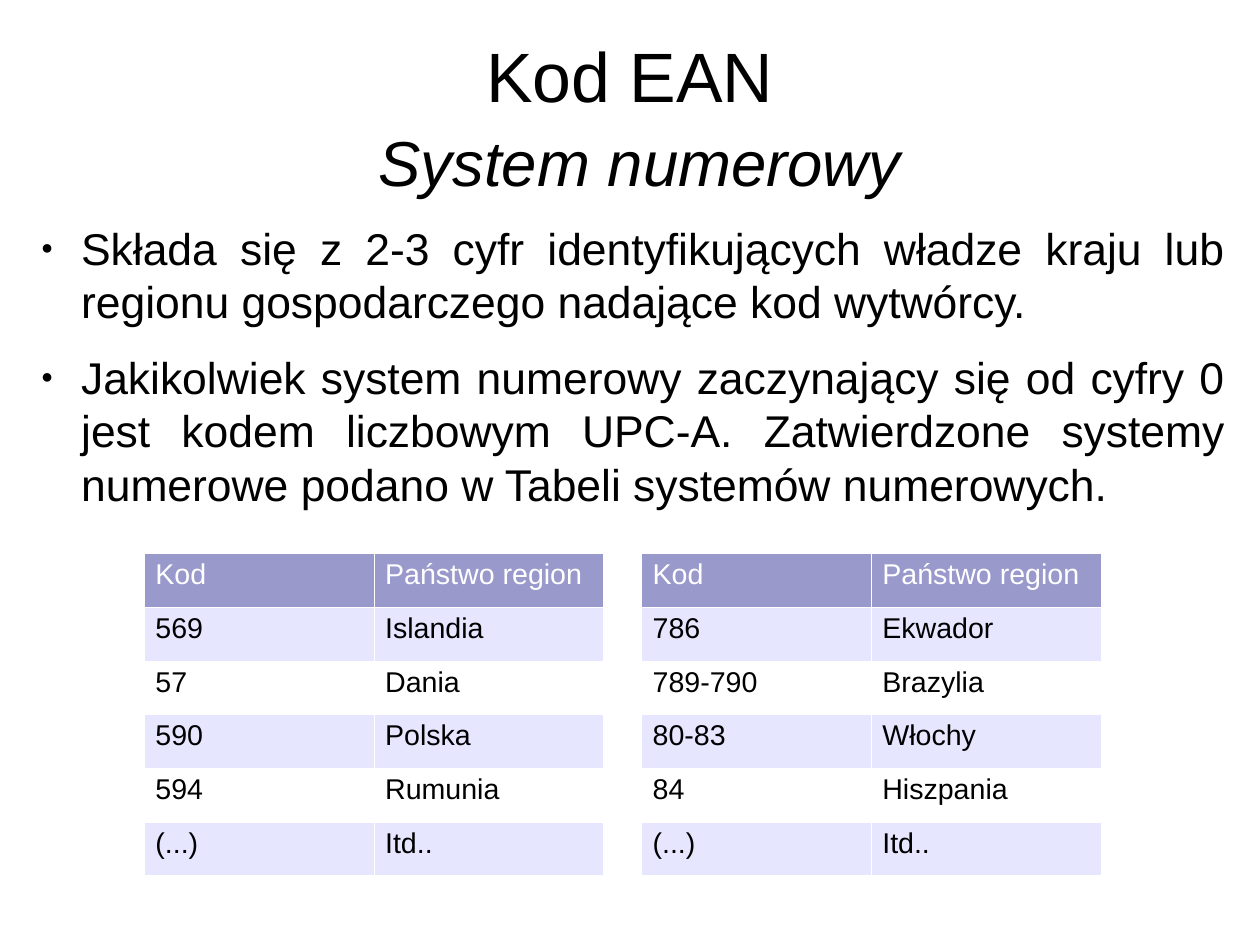
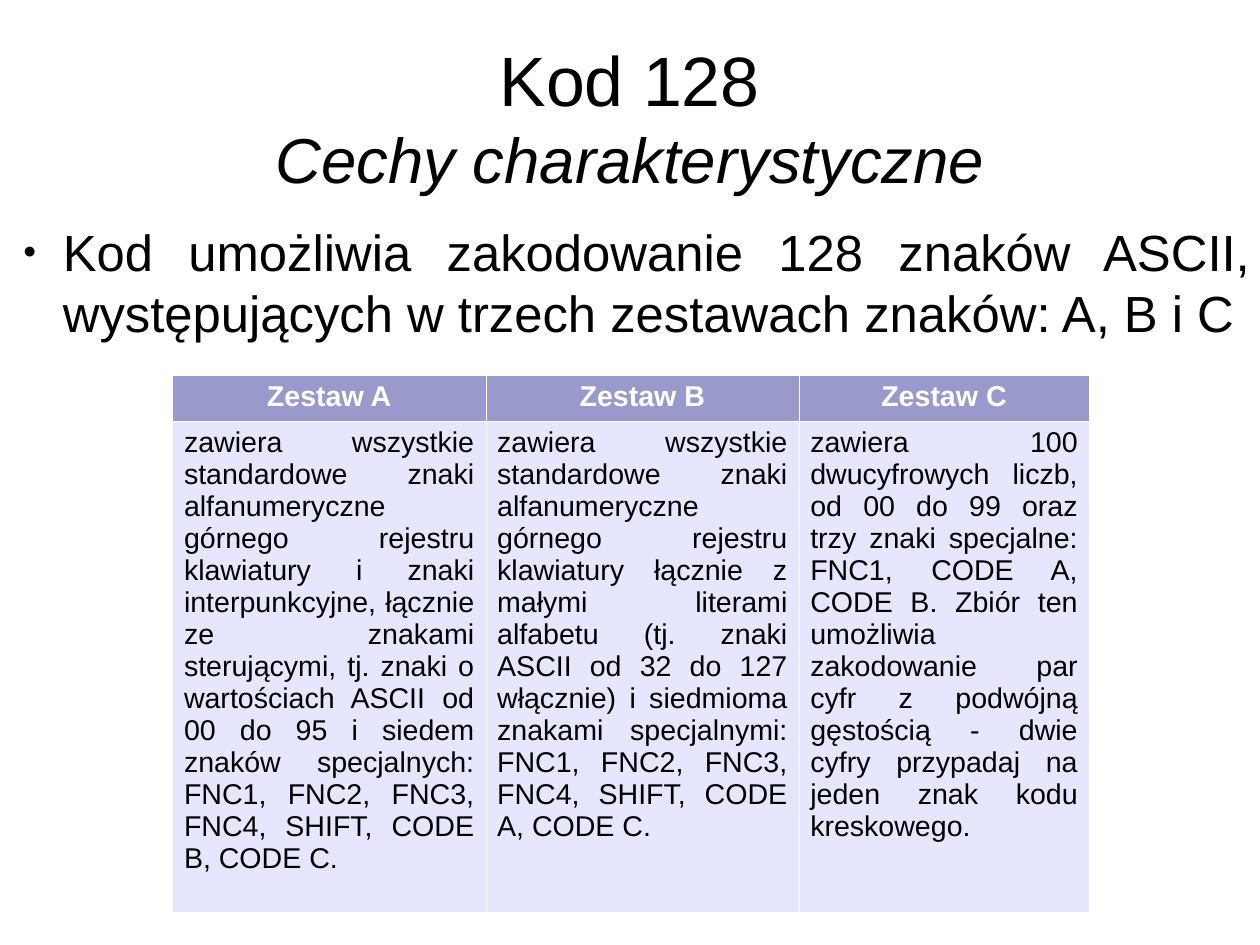
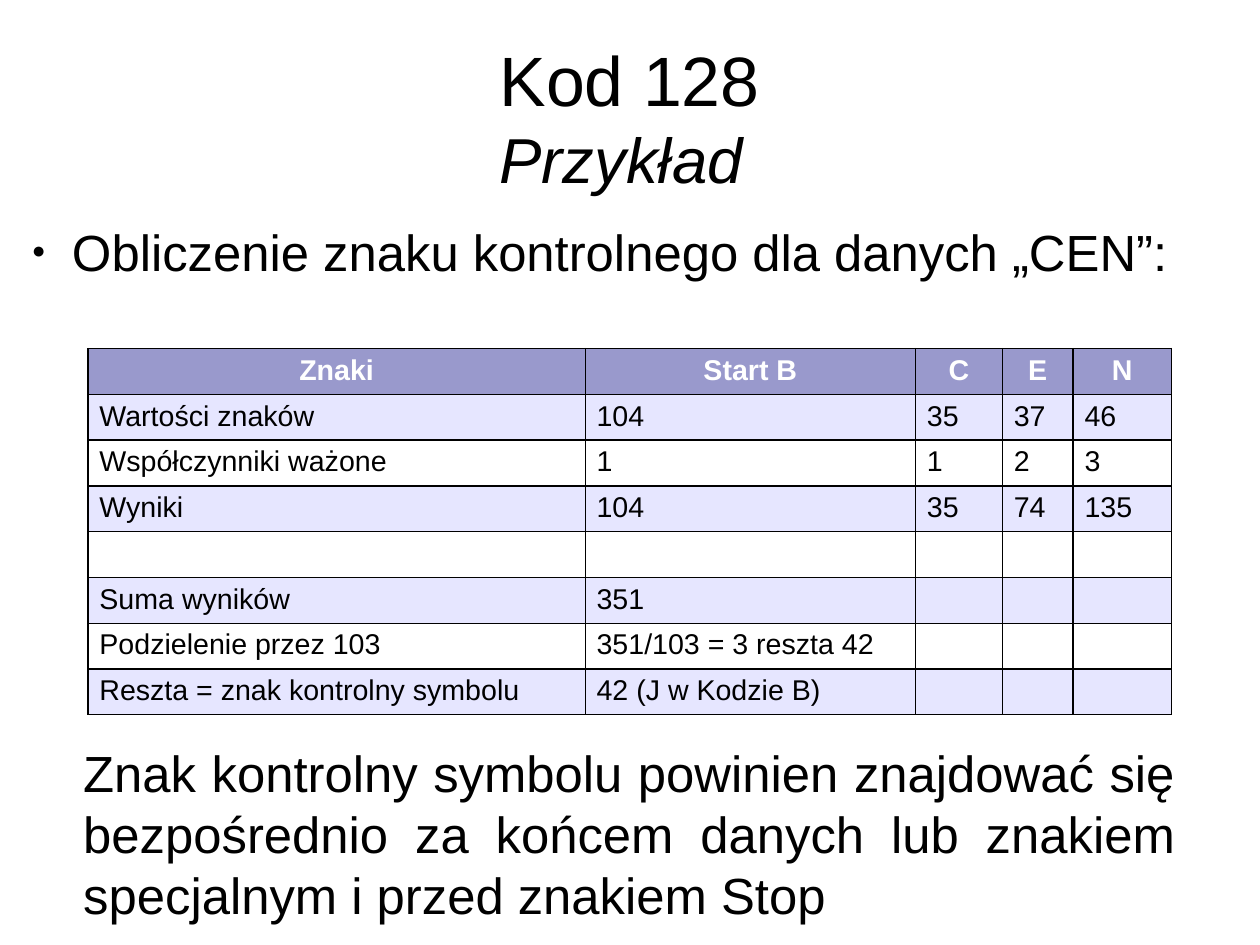
from lxml.etree import SubElement
from pptx import Presentation
from pptx.dml.color import RGBColor
from pptx.enum.text import MSO_ANCHOR, PP_ALIGN
from pptx.oxml.ns import qn
from pptx.util import Inches, Pt

FONT = "Arial"
COLORS = {
    "text": "000000",
    "header": "9999CC",
    "band": "E6E6FF",
    "plain": "FFFFFF",
}
CM_PER_INCH = 2.54
TABLE_TEXT_SIZE = 18
ROW_HEIGHT = 0.38


def color(name):
    return RGBColor.from_string(COLORS[name])


def set_default_font(deck):
    for element in (deck.element, deck.slide_master.element):
        for latin in element.iter(qn("a:latin")):
            latin.set("typeface", FONT)


def format_span(span, size, fill="text", bold=False, italic=False):
    span.font.name = FONT
    span.font.size = Pt(size)
    span.font.bold = bold
    span.font.italic = italic
    span.font.color.rgb = color(fill)


def add_text_box(page, left, top, width, height, margin=None):
    box = page.shapes.add_textbox(Inches(left), Inches(top), Inches(width), Inches(height))
    frame = box.text_frame
    frame.word_wrap = True
    if margin is not None:
        frame.margin_left = frame.margin_right = Inches(margin)
        frame.margin_top = frame.margin_bottom = Inches(margin)
    return frame


def add_title(page, heading, subtitle):
    frame = add_text_box(page, 0.55, 0.33, 9.92, 1.38, margin=0)
    frame.vertical_anchor = MSO_ANCHOR.MIDDLE
    para = frame.paragraphs[0]
    para.alignment = PP_ALIGN.CENTER
    para.text = heading
    for span in para.runs:
        format_span(span, 44)
    span = para.add_run()
    span.text = subtitle
    format_span(span, 40, italic=True)


def add_bullet(para):
    properties = para._p.get_or_add_pPr()
    properties.set("marL", str(Inches(0.47)))
    properties.set("indent", str(Inches(-0.35)))
    bullet_color = SubElement(properties, qn("a:buClr"))
    SubElement(bullet_color, qn("a:srgbClr"), val=COLORS["text"])
    SubElement(properties, qn("a:buSzPct"), val="45000")
    SubElement(properties, qn("a:buFont"), typeface=FONT)
    SubElement(properties, qn("a:buChar"), char="●")


def add_paragraphs(frame, texts, size, bulleted=True):
    frame.text = "\n".join(texts)
    for index, para in enumerate(frame.paragraphs):
        para.alignment = PP_ALIGN.JUSTIFY
        if index:
            para.space_before = Pt(14.2)
        if bulleted:
            add_bullet(para)
        for span in para.runs:
            format_span(span, size)


def add_borders(cell):
    properties = cell._tc.get_or_add_tcPr()
    for side in ("a:lnL", "a:lnR", "a:lnT", "a:lnB"):
        line = SubElement(properties, qn(side), w=str(Pt(0.06)))
        fill = SubElement(line, qn("a:solidFill"))
        SubElement(fill, qn("a:srgbClr"), val=COLORS["plain"])


def format_cell(cell, text, fill, text_fill, alignment, bold):
    cell.fill.solid()
    cell.fill.fore_color.rgb = color(fill)
    cell.text = text
    para = cell.text_frame.paragraphs[0]
    para.alignment = alignment
    for span in para.runs:
        format_span(span, TABLE_TEXT_SIZE, text_fill, bold)
    ending = SubElement(para._p, qn("a:endParaRPr"), sz=str(TABLE_TEXT_SIZE * 100))
    SubElement(ending, qn("a:latin"), typeface=FONT)


def remove_table_style(graphic):
    for style in list(graphic.element.iter(qn("a:tableStyleId"))):
        style.getparent().remove(style)


def add_table(page, left, top, widths, heights, rows, bordered=True,
              header_alignment=PP_ALIGN.CENTER, header_bold=True,
              body_alignment=PP_ALIGN.LEFT):
    graphic = page.shapes.add_table(
        len(rows), len(widths), Inches(left), Inches(top),
        Inches(sum(widths)), Inches(sum(heights)))
    remove_table_style(graphic)
    table = graphic.table
    for column, width in zip(table.columns, widths):
        column.width = Inches(width)
    for row, height in zip(table.rows, heights):
        row.height = Inches(height)
    for row_index, texts in enumerate(rows):
        if row_index == 0:
            look = ("header", "plain", header_alignment, header_bold)
        else:
            band = "band" if row_index % 2 else "plain"
            look = (band, "text", body_alignment, False)
        for column_index in range(len(widths)):
            cell = table.cell(row_index, column_index)
            if bordered:
                add_borders(cell)
            text = texts[column_index] if column_index < len(texts) else ""
            format_cell(cell, text, *look)


def add_page(deck, heading, subtitle):
    page = deck.slides.add_slide(deck.slide_layouts[6])
    add_title(page, heading, subtitle)
    return page


def build_number_systems(deck):
    page = add_page(deck, "Kod EAN\v ", "System numerowy")
    body = add_text_box(page, 0.24, 1.93, 10.47, 4.79, margin=0)
    add_paragraphs(body, [
        "Składa się z 2-3 cyfr identyfikujących władze kraju lub regionu "
        "gospodarczego nadające kod wytwórcy.",
        "Jakikolwiek system numerowy zaczynający się od cyfry 0 jest kodem "
        "liczbowym UPC-A. Zatwierdzone systemy numerowe podano w Tabeli "
        "systemów numerowych.",
    ], 28)
    countries_by_left = {
        1.26: [("569", "Islandia"), ("57", "Dania"), ("590", "Polska"),
               ("594", "Rumunia")],
        5.61: [("786", "Ekwador"), ("789-790", "Brazylia"),
               ("80-83", "Włochy"), ("84", "Hiszpania")],
    }
    for left, countries in countries_by_left.items():
        rows = [("Kod", "Państwo region"), *countries, ("(...)", "Itd..")]
        add_table(page, left, 4.84, [2.01] * 2, [0.47] * len(rows), rows,
                  header_alignment=PP_ALIGN.LEFT, header_bold=False)


def build_character_sets(deck):
    page = add_page(deck, "Kod 128\v", "Cechy charakterystyczne")
    body = add_text_box(page, 0.08, 1.93, 10.87, 6.02, margin=0)
    add_paragraphs(body, [
        "Kod umożliwia zakodowanie 128 znaków ASCII, występujących w trzech "
        "zestawach znaków: A, B i C",
    ], 32)
    rows = [
        ("Zestaw A", "Zestaw B", "Zestaw C"),
        (
            "zawiera wszystkie standardowe znaki alfanumeryczne górnego "
            "rejestru klawiatury i znaki interpunkcyjne, łącznie ze znakami "
            "sterującymi, tj. znaki o wartościach ASCII od 00 do 95 i siedem "
            "znaków specjalnych: FNC1, FNC2, FNC3, FNC4, SHIFT, CODE B, CODE C.",
            "zawiera wszystkie standardowe znaki alfanumeryczne górnego "
            "rejestru klawiatury łącznie z małymi literami alfabetu (tj. znaki "
            "ASCII od 32 do 127 włącznie) i siedmioma znakami specjalnymi: "
            "FNC1, FNC2, FNC3, FNC4, SHIFT, CODE A, CODE C.",
            "zawiera 100 dwucyfrowych liczb, od 00 do 99 oraz trzy znaki "
            "specjalne: FNC1, CODE A, CODE B. Zbiór ten umożliwia zakodowanie "
            "par cyfr z podwójną gęstością - dwie cyfry przypadaj na jeden "
            "znak kodu kreskowego.",
        ),
    ]
    add_table(page, 1.51, 3.28, [2.74, 2.74, 2.54], [ROW_HEIGHT, 4.3], rows,
              body_alignment=PP_ALIGN.JUSTIFY)


def build_check_character(deck):
    page = add_page(deck, "Kod 128\v", "Przykład ")
    body = add_text_box(page, 0.16, 1.93, 10.71, 6.02, margin=0)
    add_paragraphs(body, ["Obliczenie znaku kontrolnego dla danych „CEN”:"], 32)
    rows = [
        ("Znaki", "Start B", "C", "E", "N"),
        ("Wartości znaków", "104", "35", "37", "46"),
        ("Współczynniki ważone", "1", "1", "2", "3"),
        ("Wyniki", "104", "35", "74", "135"),
        (),
        ("Suma wyników", "351"),
        ("Podzielenie przez 103", "351/103 = 3 reszta 42"),
        ("Reszta = znak kontrolny symbolu", "42 (J w Kodzie B)"),
    ]
    add_table(page, 0.77, 3.05, [4.35, 2.89, 0.76, 0.62, 0.86],
              [ROW_HEIGHT] * len(rows), rows, bordered=False)
    note = add_text_box(page, 0.63, 6.44, 9.76, 1.59)
    add_paragraphs(note, [
        "Znak kontrolny symbolu powinien znajdować się bezpośrednio za końcem "
        "danych lub znakiem specjalnym i przed znakiem Stop",
    ], 32, bulleted=False)


def main():
    deck = Presentation()
    deck.slide_width = Inches(28 / CM_PER_INCH)
    deck.slide_height = Inches(21 / CM_PER_INCH)
    set_default_font(deck)
    build_number_systems(deck)
    build_character_sets(deck)
    build_check_character(deck)
    deck.save("out.pptx")


if __name__ == "__main__":
    main()
